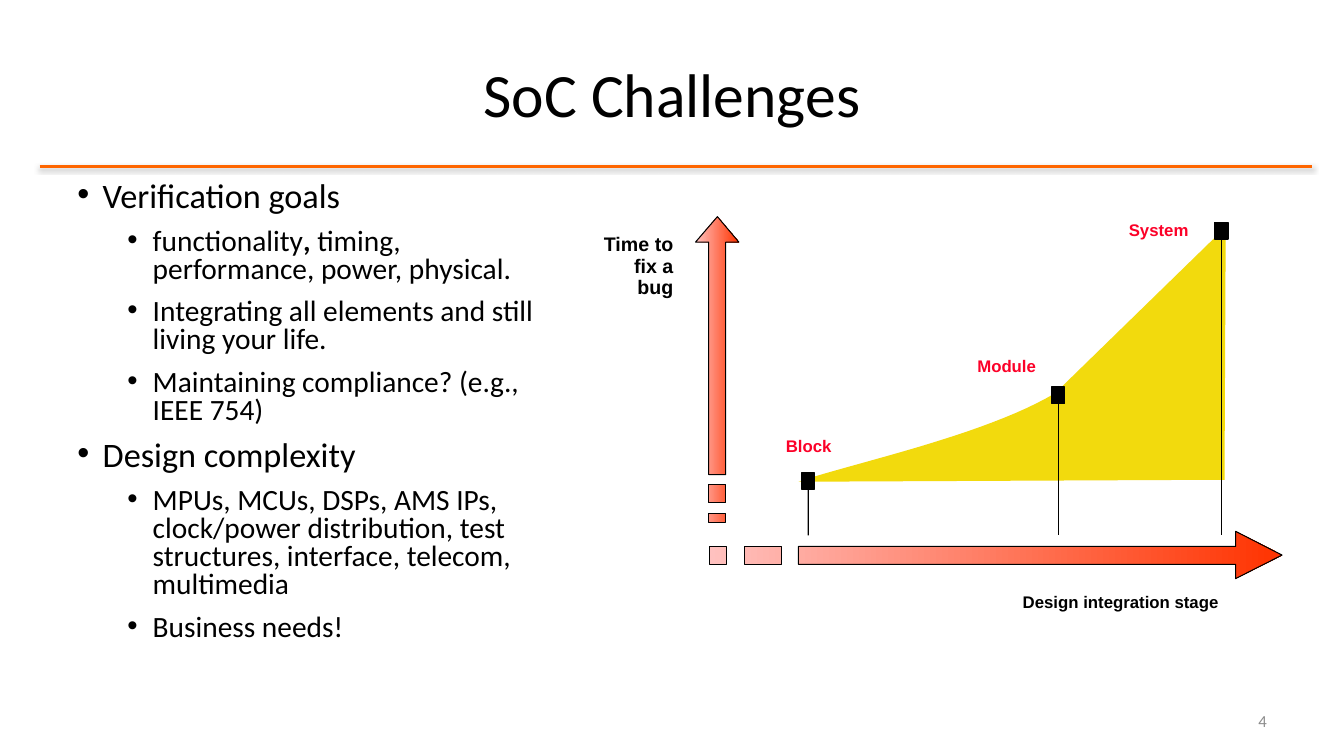
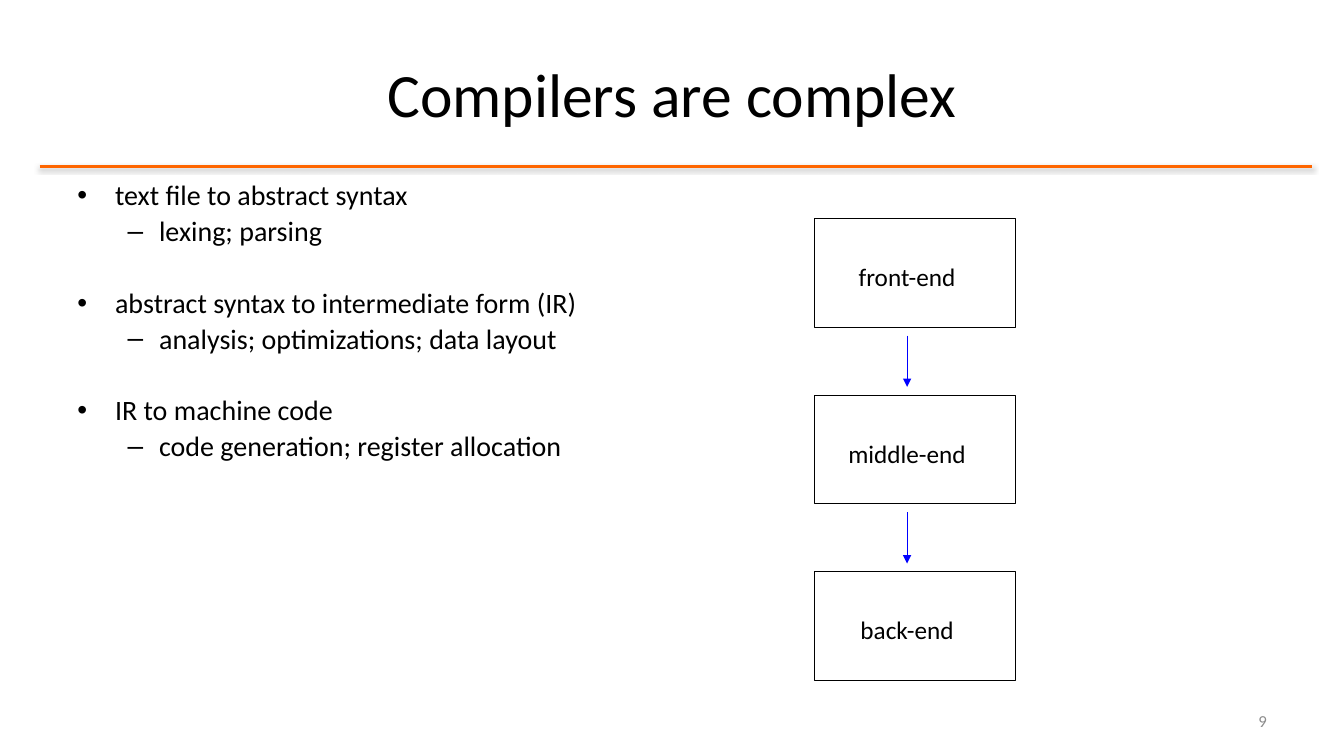
from dataclasses import dataclass

import pptx
import pptx.dml.color
import pptx.enum.shapes
import pptx.enum.text
import pptx.oxml
import pptx.oxml.ns
import pptx.util
from lxml import etree

Cm, Pt = pptx.util.Cm, pptx.util.Pt
RGBColor = pptx.dml.color.RGBColor
ALIGN = pptx.enum.text.PP_ALIGN
ANCHOR = pptx.enum.text.MSO_ANCHOR
RECTANGLE = pptx.enum.shapes.MSO_SHAPE.RECTANGLE
STRAIGHT = pptx.enum.shapes.MSO_CONNECTOR.STRAIGHT
qn = pptx.oxml.ns.qn

BLACK = RGBColor(0x00, 0x00, 0x00)
GRAY = RGBColor(0x8C, 0x8C, 0x8C)
ORANGE = RGBColor(0xFF, 0x66, 0x00)
PINK = RGBColor(0xFF, 0xC1, 0xBF)
SCARLET = RGBColor(0xFF, 0x33, 0x00)
RED = RGBColor(0xFC, 0x01, 0x28)
YELLOW = RGBColor(0xF2, 0xDA, 0x0D)
BLUE = RGBColor(0x00, 0x00, 0xFF)
BODY_FONT, DIAGRAM_FONT = "Calibri", "Arial"
DEFAULT_INSETS = (0.25, 0.13, 0.25, 0.13)
LABEL_INSETS = (0.18, 0.08, 0.18, 0.08)


@dataclass
class Box:
    """A region in centimetres."""
    left: float
    top: float
    width: float
    height: float

    def inner(self, x, y, width, height):
        return Box(self.left + x, self.top + y, width, height)

    def point(self, x, y):
        return Cm(self.left + x), Cm(self.top + y)

    def lengths(self):
        return Cm(self.left), Cm(self.top), Cm(self.width), Cm(self.height)


TITLE = Box(1.7, 0.76, 30.48, 3.18)
PAGE_NUMBER = Box(24.28, 17.65, 7.9, 1.02)
RULE = Box(1, 4.19, 32.07, 0)


@dataclass
class Level:
    """Format of one outline level; lengths in cm, spaces in points."""
    size: float
    bullet: str
    margin: float
    hanging: float
    before: float


def write(paragraph, text, size=18, font=BODY_FONT, color=BLACK, bold=False,
          align=ALIGN.LEFT, spacing=1.0, before=0):
    """Fill a paragraph; text between ** marks is bold."""
    paragraph.alignment = align
    paragraph.line_spacing = spacing
    paragraph.space_before = Pt(before)
    for index, part in enumerate(text.split("**")):
        run = paragraph.add_run()
        run.text = part
        run.font.size = Pt(size)
        run.font.name = font
        run.font.color.rgb = color
        run.font.bold = bold or index % 2 == 1


def prepare(frame, anchor=ANCHOR.TOP, insets=DEFAULT_INSETS, wrap=True):
    frame.word_wrap = wrap
    frame.vertical_anchor = anchor
    (frame.margin_left, frame.margin_top,
     frame.margin_right, frame.margin_bottom) = map(Cm, insets)
    return frame


def add_text(slide, box, text, anchor=ANCHOR.MIDDLE, insets=DEFAULT_INSETS,
             wrap=True, **text_format):
    frame = slide.shapes.add_textbox(*box.lengths()).text_frame
    prepare(frame, anchor, insets, wrap)
    write(frame.paragraphs[0], text, **text_format)


def add_outline(slide, box, items, levels, spacing, group_gap=None):
    """Bulleted list of (level, text); group_gap is the space between groups."""
    frame = prepare(slide.shapes.add_textbox(*box.lengths()).text_frame)
    for index, (depth, text) in enumerate(items):
        level = levels[depth]
        paragraph = frame.add_paragraph() if index else frame.paragraphs[0]
        properties = paragraph._p.get_or_add_pPr()
        properties.set("marL", str(Cm(level.margin)))
        properties.set("indent", str(-Cm(level.hanging)))
        etree.SubElement(properties, qn("a:buFont")).set("typeface", DIAGRAM_FONT)
        etree.SubElement(properties, qn("a:buChar")).set("char", level.bullet)
        before = level.before
        if depth == 0 and group_gap:
            before = group_gap
        write(paragraph, text, size=level.size, spacing=spacing,
              before=before if index else 0)


def add_line(slide, start, end, color, width, arrow=False, shadow=False):
    line = slide.shapes.add_connector(STRAIGHT, *start, *end)
    line.line.color.rgb = color
    line.line.width = Pt(width)
    if arrow:
        head = etree.SubElement(line.line._get_or_add_ln(), qn("a:tailEnd"))
        head.set("type", "triangle")
    effects = etree.SubElement(line._element.spPr, qn("a:effectLst"))
    if shadow:
        outer = etree.SubElement(effects, qn("a:outerShdw"), blurRad=str(Pt(3.1)),
                                 dist=str(Pt(1.6)), dir="5400000", rotWithShape="0")
        tint = etree.SubElement(outer, qn("a:srgbClr"), val=str(BLACK))
        etree.SubElement(tint, qn("a:alpha"), val="38000")
    return line


def add_rectangle(slide, box, fill=None, line_width=0.75):
    rectangle = slide.shapes.add_shape(RECTANGLE, *box.lengths())
    rectangle.shadow.inherit = False
    if fill is None:
        rectangle.fill.background()
    else:
        rectangle.fill.solid()
        rectangle.fill.fore_color.rgb = fill
    rectangle.line.color.rgb = BLACK
    rectangle.line.width = Pt(line_width)
    return rectangle


def add_outline_shape(slide, box, contours):
    """Freeform of closed contours given in cm from the corner of the box."""
    paths = [[box.point(*point) for point in contour] for contour in contours]
    builder = slide.shapes.build_freeform(*paths[0][0], scale=1.0)
    for index, (start, *others) in enumerate(paths):
        if index:
            builder.move_to(*start)
        builder.add_line_segments(others, close=True)
    outline = builder.convert_to_shape()
    outline.shadow.inherit = False
    return outline


def add_axis(slide, box, contours):
    axis = add_outline_shape(slide, box, contours)
    axis.fill.gradient()
    axis.fill.gradient_angle = 0
    for stop, color in zip(axis.fill.gradient_stops, (PINK, SCARLET)):
        stop.color.rgb = color
    axis.line.color.rgb = BLACK
    axis.line.width = Pt(0.75)


def block(left, top, right, bottom):
    return [(left, top), (left, bottom), (right, bottom), (right, top)]


def curve(start, control1, control2, end, steps=24):
    """Points of a cubic Bezier curve after its start."""
    points = []
    for step in range(1, steps + 1):
        t = step / steps
        weights = ((1 - t) ** 3, 3 * t * (1 - t) ** 2, 3 * t * t * (1 - t), t ** 3)
        corners = (start, control1, control2, end)
        points.append(tuple(sum(w * c[axis] for w, c in zip(weights, corners))
                            for axis in (0, 1)))
    return points


def add_bug_cost_diagram(slide, box):
    label = dict(font=DIAGRAM_FONT, bold=True, spacing=0.9, insets=LABEL_INSETS)

    stage_arrow = [(16.33, 7.93), (16.33, 8.31), (5.31, 8.31), (5.31, 8.76),
                   (16.33, 8.76), (16.33, 9.12), (17.5, 8.53)]
    add_axis(slide, box, [stage_arrow, block(3.96, 8.31, 4.88, 8.76),
                          block(3.07, 8.31, 3.5, 8.76)])
    time_arrow = [(2.72, 0.64), (3.05, 0.64), (3.05, 6.5), (3.48, 6.5),
                  (3.48, 0.64), (3.81, 0.64), (3.27, 0)]
    add_axis(slide, box, [time_arrow, block(3.05, 6.76, 3.48, 7.21),
                          block(3.05, 7.47, 3.48, 7.7)])
    add_text(slide, box.inner(0, 0.38, 2.34, 1.75), "Time to fix a bug",
             anchor=ANCHOR.TOP, size=14, align=ALIGN.RIGHT, **label)

    origin, bend = (5.31, 6.68), (11.78, 4.45)
    cost = add_outline_shape(slide, box, [
        [origin, (16.05, 6.63), (16.08, 0.26), bend]
        + curve(bend, (10.01, 5.51), (6.65, 6.22), origin)])
    cost.fill.solid()
    cost.fill.fore_color.rgb = YELLOW
    cost.line.fill.background()

    stem_foot, marker_width, marker_height = 8.03, 0.33, 0.41
    label_width, label_height = 2, 0.61
    stages = [("Block", (5.56, 6.66), (5.57, 5.8)),
              ("Module", (11.86, 4.5), (10.56, 3.79)),
              ("System", (15.97, 0.36), (14.39, 0.37))]
    for name, (x, y), (label_x, label_y) in stages:
        marker = add_rectangle(slide, box.inner(
            x - marker_width / 2, y - marker_height / 2, marker_width, marker_height),
            fill=BLACK, line_width=1)
        stem = add_line(slide, box.point(x, y), box.point(x, stem_foot), BLACK, 1)
        stem.begin_connect(marker, 2)
        add_text(slide, box.inner(label_x - label_width / 2, label_y - label_height / 2,
                                  label_width, label_height),
                 name, size=12, color=RED, align=ALIGN.CENTER, wrap=False, **label)
    add_text(slide, box.inner(10.77, 9.42, 5.33, label_height),
             "Design integration stage", size=12, align=ALIGN.CENTER, wrap=False, **label)


def add_compiler_stages(slide, box, names):
    """Stack of boxes with an arrow in each gap."""
    height, clearance, arrow_x = 2.74, 0.21, 2.34
    pitch = (box.height - height) / (len(names) - 1)
    for index, name in enumerate(names):
        top = index * pitch
        stage = add_rectangle(slide, box.inner(0, top, box.width, height))
        frame = prepare(stage.text_frame, ANCHOR.MIDDLE, (0, 0.18, 0.4, 0))
        write(frame.paragraphs[0], name, align=ALIGN.CENTER)
        if index:
            add_line(slide, box.point(arrow_x, top - pitch + height + clearance),
                     box.point(arrow_x, top - clearance), BLUE, 0.75, arrow=True)


def add_base_slide(deck, title, number):
    slide = deck.slides.add_slide(deck.slide_layouts[6])
    add_line(slide, RULE.point(0, 0), RULE.point(RULE.width, 0), ORANGE, 2, shadow=True)
    add_text(slide, TITLE, title, size=44, align=ALIGN.CENTER)
    add_text(slide, PAGE_NUMBER, str(number), size=12, color=GRAY, align=ALIGN.RIGHT)
    return slide


def add_challenges_slide(deck):
    slide = add_base_slide(deck, "SoC Challenges", 4)
    levels = [Level(24.5, "•", 0.64, 0.64, 10.5), Level(21, "•", 1.9, 0.64, 10)]
    add_outline(slide, Box(1.7, 4.45, 12.8, 12.57), [
        (0, "Verification goals"),
        (1, "functionality**, **timing, performance, power, physical."),
        (1, "Integrating all elements and still living your life."),
        (1, "Maintaining compliance? (e.g., IEEE 754)"),
        (0, "Design complexity"),
        (1, "MPUs, MCUs, DSPs, AMS IPs, clock/power distribution, test structures, "
            "interface, telecom, multimedia"),
        (1, "Business needs!"),
    ], levels, spacing=0.8)
    add_bug_cost_diagram(slide, Box(14.81, 5.46, 17.5, 10.03))


def add_compilers_slide(deck):
    slide = add_base_slide(deck, "Compilers are complex", 9)
    levels = [Level(20, "•", 0.95, 0.95, 4), Level(20, "–", 2.06, 0.79, 4)]
    add_outline(slide, Box(1.7, 4.45, 13.77, 12.57), [
        (0, "text file to abstract syntax"),
        (1, "lexing; parsing"),
        (0, "abstract syntax to intermediate form (IR)"),
        (1, "analysis; optimizations; data layout"),
        (0, "IR to machine code"),
        (1, "code generation; register allocation"),
    ], levels, spacing=0.9, group_gap=29.5)
    add_compiler_stages(slide, Box(20.52, 5.51, 5.08, 11.64),
                        ["front-end", "middle-end", "back-end"])


def main():
    deck = pptx.Presentation()
    deck.slide_width, deck.slide_height = Cm(33.87), Cm(19.05)
    add_challenges_slide(deck)
    add_compilers_slide(deck)
    deck.save("out.pptx")


if __name__ == "__main__":
    main()
